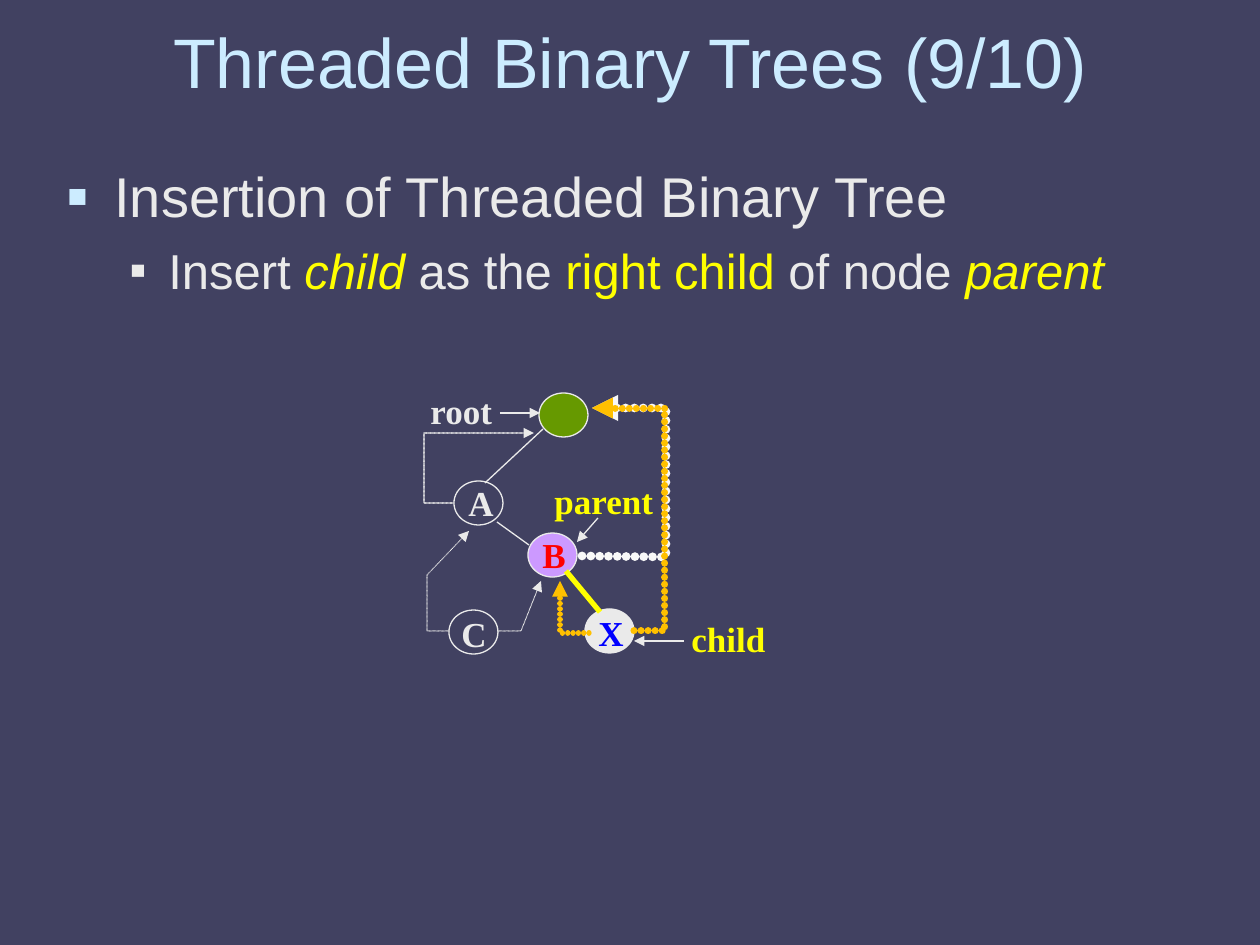
import pptx
import pptx.dml.color
import pptx.enum.shapes
import pptx.enum.text
import pptx.oxml.ns
import pptx.oxml.xmlchemy
import pptx.util

PX = 914400 / 126
RGBColor = pptx.dml.color.RGBColor
qn = pptx.oxml.ns.qn

NAVY = RGBColor(0x41, 0x41, 0x61)
PALE_BLUE = RGBColor(0xCC, 0xEC, 0xFF)
LIGHT = RGBColor(0xEA, 0xEA, 0xEA)
WHITE = RGBColor(0xF8, 0xF8, 0xF8)
YELLOW = RGBColor(0xFF, 0xFF, 0x00)
ORANGE = RGBColor(0xFF, 0xC0, 0x00)
GREEN = RGBColor(0x66, 0x99, 0x00)
PURPLE = RGBColor(0xCC, 0x99, 0xFF)
RED = RGBColor(0xFF, 0x00, 0x00)
BLUE = RGBColor(0x00, 0x00, 0xFF)

NODE_WIDTH, NODE_HEIGHT = 49, 44
LABEL_HEIGHT = 55


def px(length):
    return pptx.util.Emu(round(length * PX))


def add_child(parent, tag, **attributes):
    child = parent.makeelement(qn(tag), attributes)
    parent.append(child)
    return child


def add_text(paragraph, text, size=20, font="Arial", color=LIGHT, bold=False, italic=False):
    run = paragraph.add_run()
    run.text = text
    run.font.size = pptx.util.Pt(size)
    run.font.name = font
    run.font.color.rgb = color
    run.font.bold = bold
    run.font.italic = italic


def add_bullet(paragraph, color, indent, hanging, size=100):
    properties = paragraph._p.get_or_add_pPr()
    properties.set("marL", str(px(indent)))
    properties.set("indent", str(-px(hanging)))
    bullet_color = add_child(properties, "a:buClr")
    add_child(bullet_color, "a:srgbClr", val=str(color))
    add_child(properties, "a:buSzPct", val=str(size * 1000))
    add_child(properties, "a:buFont", typeface="Arial")
    add_child(properties, "a:buChar", char="▪")


def style_line(shape, color, width, dotted=False, arrow=False):
    shape.line.color.rgb = color
    shape.line.width = pptx.util.Pt(width)
    outline = shape._element.spPr.find(qn("a:ln"))
    if dotted:
        outline.set("cap", "rnd")
        dashes = add_child(outline, "a:custDash")
        add_child(dashes, "a:ds", d="1000", sp="100000")
    if arrow:
        add_child(outline, "a:tailEnd", type="triangle")


def add_title(slide, text):
    title = slide.shapes.title
    title.left, title.top, title.width, title.height = px(63), px(16), px(1134), px(90)
    frame = title.text_frame
    frame.auto_size = pptx.enum.text.MSO_AUTO_SIZE.NONE
    frame.vertical_anchor = pptx.enum.text.MSO_ANCHOR.MIDDLE
    paragraph = frame.paragraphs[0]
    paragraph.alignment = pptx.enum.text.PP_ALIGN.CENTER
    add_text(paragraph, text, size=40, color=PALE_BLUE)


def add_outline(slide):
    frame = slide.shapes.add_textbox(px(54), px(155), px(1132), px(179)).text_frame
    frame.word_wrap = True
    topic = frame.paragraphs[0]
    add_bullet(topic, PALE_BLUE, 48, 48, size=115)
    add_text(topic, "Insertion of Threaded Binary Tree", size=32)

    step = frame.add_paragraph()
    step.level = 1
    step.space_before = pptx.util.Pt(7)
    add_bullet(step, LIGHT, 102, 39)
    for text, color, italic in (
        ("Insert ", LIGHT, False),
        ("child ", YELLOW, True),
        ("as the ", LIGHT, False),
        ("right child ", YELLOW, False),
        ("of node ", LIGHT, False),
        ("parent", YELLOW, True),
    ):
        add_text(step, text, size=28, color=color, italic=italic)


def add_node(slide, left, top, fill=None):
    node = slide.shapes.add_shape(
        pptx.enum.shapes.MSO_SHAPE.OVAL, px(left), px(top), px(NODE_WIDTH), px(NODE_HEIGHT)
    )
    node.shadow.inherit = False
    if fill is None:
        node.fill.background()
    else:
        node.fill.solid()
        node.fill.fore_color.rgb = fill
    style_line(node, LIGHT, 0.75)


def add_label(slide, text, left, top, width, color):
    frame = slide.shapes.add_textbox(px(left), px(top), px(width), px(LABEL_HEIGHT)).text_frame
    frame.word_wrap = False
    add_text(frame.paragraphs[0], text, font="Times New Roman", color=color, bold=True)


def add_link(slide, start, end, color=LIGHT, width=0.75, arrow=False):
    link = slide.shapes.add_connector(
        pptx.enum.shapes.MSO_CONNECTOR.STRAIGHT, *map(px, start + end)
    )
    style_line(link, color, width, arrow=arrow)
    add_child(link._element.spPr, "a:effectLst")


def add_thread(slide, points, color=LIGHT, width=0.75):
    builder = slide.shapes.build_freeform(*points[0], scale=PX)
    builder.add_line_segments(points[1:], close=False)
    thread = builder.convert_to_shape()
    thread.shadow.inherit = False
    thread.fill.background()
    style_line(thread, color, width, dotted=True, arrow=True)


def add_tree(slide):
    for left, top, fill in (
        (585, 609, LIGHT),
        (539, 393, GREEN),
        (454, 481, None),
        (528, 533, PURPLE),
        (449, 610, None),
    ):
        add_node(slide, left, top, fill)

    add_link(slide, (543, 429), (485, 483))
    add_link(slide, (497, 522), (529, 545))
    add_link(slide, (566, 571), (600, 612), color=YELLOW, width=3)
    for start, end in (
        ((500, 413), (540, 413)),
        ((598, 518), (577, 542)),
        ((684, 641), (634, 641)),
    ):
        add_link(slide, start, end, arrow=True)

    add_thread(slide, [(453, 503), (424, 503), (424, 433), (534, 433)])
    add_thread(slide, [(498, 631), (521, 631), (541, 581)])
    add_thread(slide, [(449, 631), (427, 631), (427, 575), (469, 531)])
    add_thread(slide, [(589, 633), (560, 633), (560, 581)], color=ORANGE, width=3)

    for text, left, top, width, color in (
        ("X", 586, 605, 50, BLUE),
        ("A", 456, 475, 50, LIGHT),
        ("B", 530, 527, 48, RED),
        ("C", 449, 606, 50, LIGHT),
        ("root", 418, 383, 87, LIGHT),
        ("child", 679, 611, 100, YELLOW),
        ("parent", 542, 473, 125, YELLOW),
    ):
        add_label(slide, text, left, top, width, color)

    add_thread(slide, [(582, 556), (666, 557), (666, 408), (592, 408)], color=WHITE, width=5)
    add_thread(slide, [(634, 631), (665, 631), (665, 408), (592, 408)], color=ORANGE, width=4)


def main():
    deck = pptx.Presentation()
    deck.slide_width, deck.slide_height = px(1260), px(945)
    slide = deck.slides.add_slide(deck.slide_layouts[5])
    slide.background.fill.solid()
    slide.background.fill.fore_color.rgb = NAVY
    add_outline(slide)
    add_title(slide, "Threaded Binary Trees (9/10)")
    add_tree(slide)
    deck.save("out.pptx")


if __name__ == "__main__":
    main()
